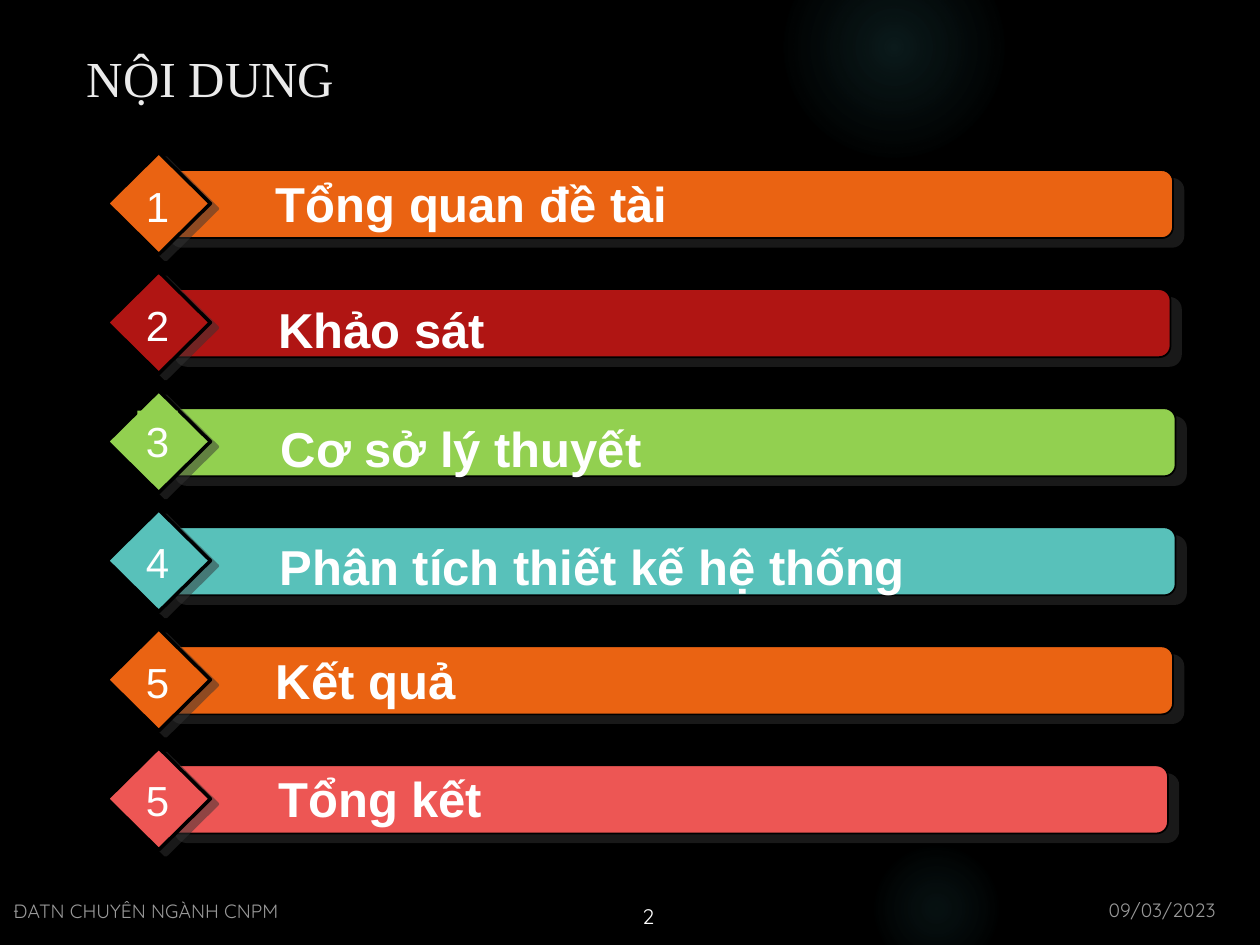
from dataclasses import dataclass

from lxml import etree
from pptx import Presentation
from pptx.dml.color import RGBColor
from pptx.enum.shapes import MSO_SHAPE as Shape
from pptx.enum.text import MSO_ANCHOR as Anchor, MSO_AUTO_SIZE as AutoSize, PP_ALIGN as Align
from pptx.oxml.ns import qn
from pptx.util import Inches, Pt


@dataclass(frozen=True)
class Theme:
    background: str = "000000"
    title: str = "EBEBEB"
    text: str = "FFFFFF"
    glow: str = "50B9C1"
    shadow: str = "333333"
    orange: str = "EA6312"
    red: str = "B01513"
    green: str = "92D050"
    teal: str = "58C1BA"
    coral: str = "ED5654"
    title_font: str = "Times New Roman"
    body_font: str = "Arial"
    footer_font: str = "Quicksand"
    title_size: float = 28.8
    label_size: float = 28
    number_size: float = 24
    page_size: float = 12
    footer_size: float = 11


THEME = Theme()


@dataclass(frozen=True)
class Entry:
    """One agenda row; x positions and offsets are inches within the row."""
    number: str
    label: str
    color: str
    bar_left: float
    bar_width: float
    label_box: tuple  # left, top, width
    indent: float
    number_box: tuple  # left, top, width, height
    number_filled: bool = False


ENTRIES = [
    Entry("1", "Tổng quan đề tài", THEME.orange, 0.42, 8.04,
          (-0.1, 0.13, 9.25), 1.37, (0.24, 0.18, 0.32, 0.45)),
    Entry("2", "Khảo sát", THEME.red, 0.46, 7.98,
          (0.73, 0.18, 7.83), 0.56, (0.24, 0.18, 0.32, 0.45)),
    Entry("3", "Cơ sở lý thuyết", THEME.green, 0.46, 8.02,
          (0.75, 0.18, 7.71), 0.56, (0.24, 0.16, 0.32, 0.45), True),
    Entry("4", "Phân tích thiết kế hệ thống", THEME.teal, 0.46, 8.02,
          (0.74, 0.17, 7.71), 0.56, (0.23, 0.17, 0.34, 0.48)),
    Entry("5", "Kết quả", THEME.orange, 0.42, 8.04,
          (-0.1, 0.13, 9.25), 1.37, (0.23, 0.18, 0.34, 0.48)),
    Entry("5", "Tổng kết", THEME.coral, 0.46, 7.96,
          (0.73, 0.12, 7.65), 0.56, (0.23, 0.17, 0.34, 0.48)),
]


def rgb(color):
    return RGBColor.from_string(color)


def add_color(parent, color, alpha):
    """Append a colour with its opacity in percent."""
    node = etree.SubElement(parent, qn("a:srgbClr"), val=color)
    etree.SubElement(node, qn("a:alpha"), val=str(alpha * 1000))
    return node


def add_text(shapes, box, text, font, size, color=THEME.text, bold=False,
             align=Align.LEFT, anchor=Anchor.TOP, margins=(0.1, 0.05), wrap=True):
    textbox = shapes.add_textbox(*map(Inches, box))
    frame = textbox.text_frame
    frame.word_wrap = wrap
    frame.auto_size = AutoSize.NONE
    frame.vertical_anchor = anchor
    frame.margin_left = frame.margin_right = Inches(margins[0])
    frame.margin_top = frame.margin_bottom = Inches(margins[1])
    paragraph = frame.paragraphs[0]
    paragraph.text = text
    paragraph.alignment = align
    paragraph.font.name = font
    paragraph.font.size = Pt(size)
    paragraph.font.bold = bold
    run_font = paragraph.runs[0].font
    run_font.color.rgb = rgb(color)
    return textbox


def add_glow(slide, left, top, size, stops):
    """Round light that fades outward; stops are (position, opacity) in percent."""
    glow = slide.shapes.add_shape(Shape.OVAL, *map(Inches, (left, top, size, size)))
    glow.shadow.inherit = False
    glow.line.fill.background()
    gradient = etree.Element(qn("a:gradFill"), rotWithShape="1")
    stop_list = etree.SubElement(gradient, qn("a:gsLst"))
    for position, alpha in stops:
        stop = etree.SubElement(stop_list, qn("a:gs"), pos=str(position * 1000))
        add_color(stop, THEME.glow, alpha)
    circle = etree.SubElement(gradient, qn("a:path"), {"path": "circle"})
    etree.SubElement(circle, qn("a:fillToRect"), dict.fromkeys("ltrb", "50000"))
    glow._element.spPr.find(qn("a:prstGeom")).addnext(gradient)


def add_plate(shapes, kind, box, color, line_width, distance, angle):
    """Filled shape with a black outline and a hard offset shadow."""
    plate = shapes.add_shape(kind, *map(Inches, box))
    plate.fill.solid()
    plate.fill.fore_color.rgb = rgb(color)
    plate.line.color.rgb = rgb(THEME.background)
    plate.line.width = Pt(line_width)
    plate.shadow.inherit = False
    effects = plate._element.spPr.find(qn("a:effectLst"))
    shadow = etree.SubElement(
        effects, qn("a:outerShdw"), blurRad="0", dist=str(Pt(distance)),
        dir=str(angle * 60000), algn="ctr", rotWithShape="0")
    add_color(shadow, THEME.shadow, 50)
    return plate


def add_entry(slide, left, top, entry):
    shapes = slide.shapes.add_group_shape().shapes
    add_plate(shapes, Shape.ROUNDED_RECTANGLE,
              (left + entry.bar_left, top + 0.14, entry.bar_width, 0.54),
              entry.color, 1, 7.8, 40)
    add_plate(shapes, Shape.DIAMOND, (left, top, 0.82, 0.81), entry.color, 2, 5, 37)

    x, y, width = entry.label_box
    label = add_text(shapes, (left + x, top + y, width, 0.55), entry.label,
                     THEME.body_font, THEME.label_size, bold=True,
                     align=Align.JUSTIFY, margins=(0.07, 0.04))
    properties = label.text_frame.paragraphs[0]._p.get_or_add_pPr()
    properties.set("marL", str(Inches(entry.indent)))

    x, y, width, height = entry.number_box
    number = add_text(shapes, (left + x, top + y, width, height), entry.number,
                      THEME.body_font, THEME.number_size, align=Align.CENTER,
                      margins=(0.07, 0.04), wrap=False)
    if entry.number_filled:
        number.fill.solid()
        number.fill.fore_color.rgb = rgb(entry.color)


def add_agenda(slide, left, top, height):
    pitch = height / len(ENTRIES)
    for index, entry in enumerate(ENTRIES):
        add_entry(slide, left, top + index * pitch, entry)


def add_footer(slide, top):
    font, size = THEME.footer_font, THEME.footer_size
    date = add_text(slide.shapes, (8.7, top, 1.24, 0.29), "09/03/2023", font, size)
    course = add_text(slide.shapes, (0.01, top + 0.04, 4.22, 0.25),
                      "ĐATN CHUYÊN NGÀNH CNPM", font, size, anchor=Anchor.BOTTOM)
    for faded in (date, course):
        color = faded._element.find(".//" + qn("a:srgbClr"))
        etree.SubElement(color, qn("a:alpha"), val="60000")
    add_text(slide.shapes, (5, top + 0.04, 0.56, 0.29), "2", font, THEME.page_size)


def main():
    deck = Presentation()
    deck.slide_width, deck.slide_height = Inches(10), Inches(7.5)
    slide = deck.slides.add_slide(deck.slide_layouts[6])
    slide.background.fill.solid()
    slide.background.fill.fore_color.rgb = rgb(THEME.background)
    add_glow(slide, 6.22, -0.5, 1.75, [(0, 14), (36, 7), (73, 0)])
    add_glow(slide, 6.89, 6.67, 1.08, [(0, 9), (36, 5), (66, 0)])
    add_text(slide.shapes, (0.59, 0.3, 8.09, 0.62), "NỘI DUNG", THEME.title_font,
             THEME.title_size, THEME.title, anchor=Anchor.MIDDLE)
    add_agenda(slide, 0.85, 1.21, 5.67)
    add_footer(slide, 7.08)
    deck.save("out.pptx")


if __name__ == "__main__":
    main()
